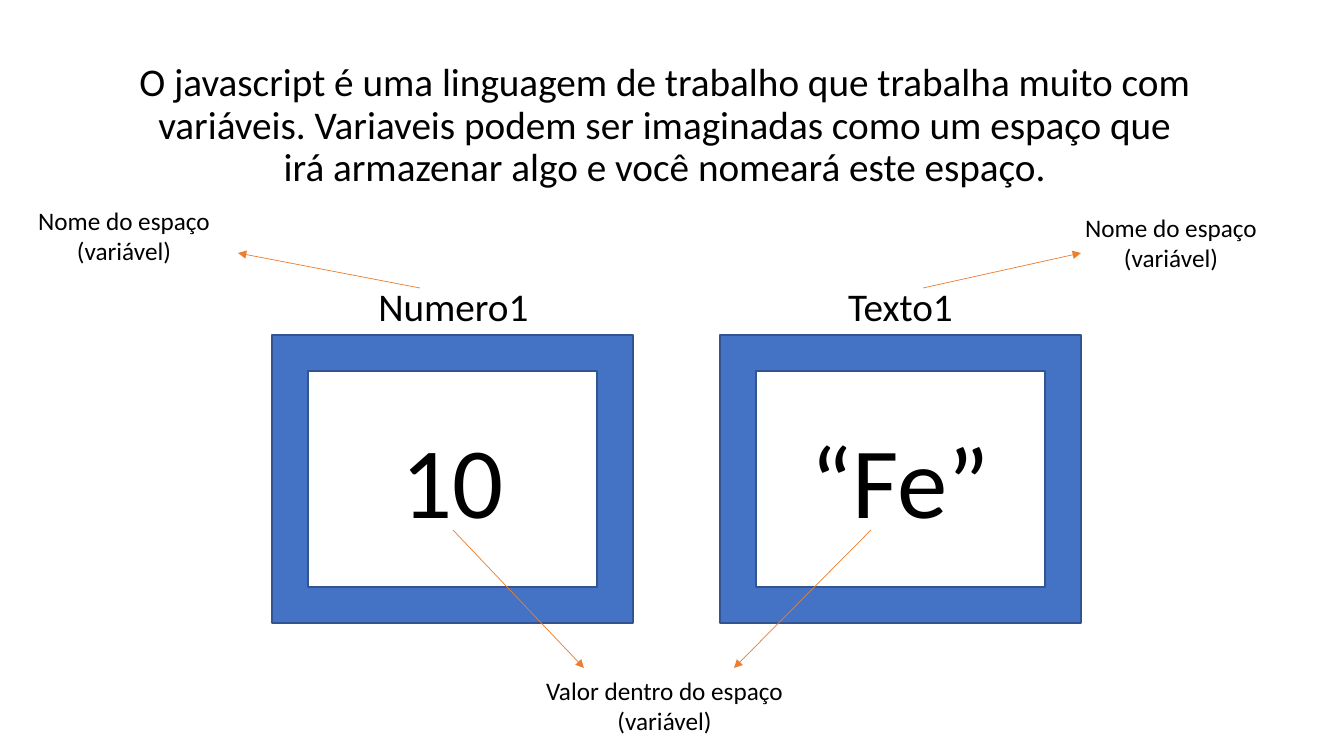
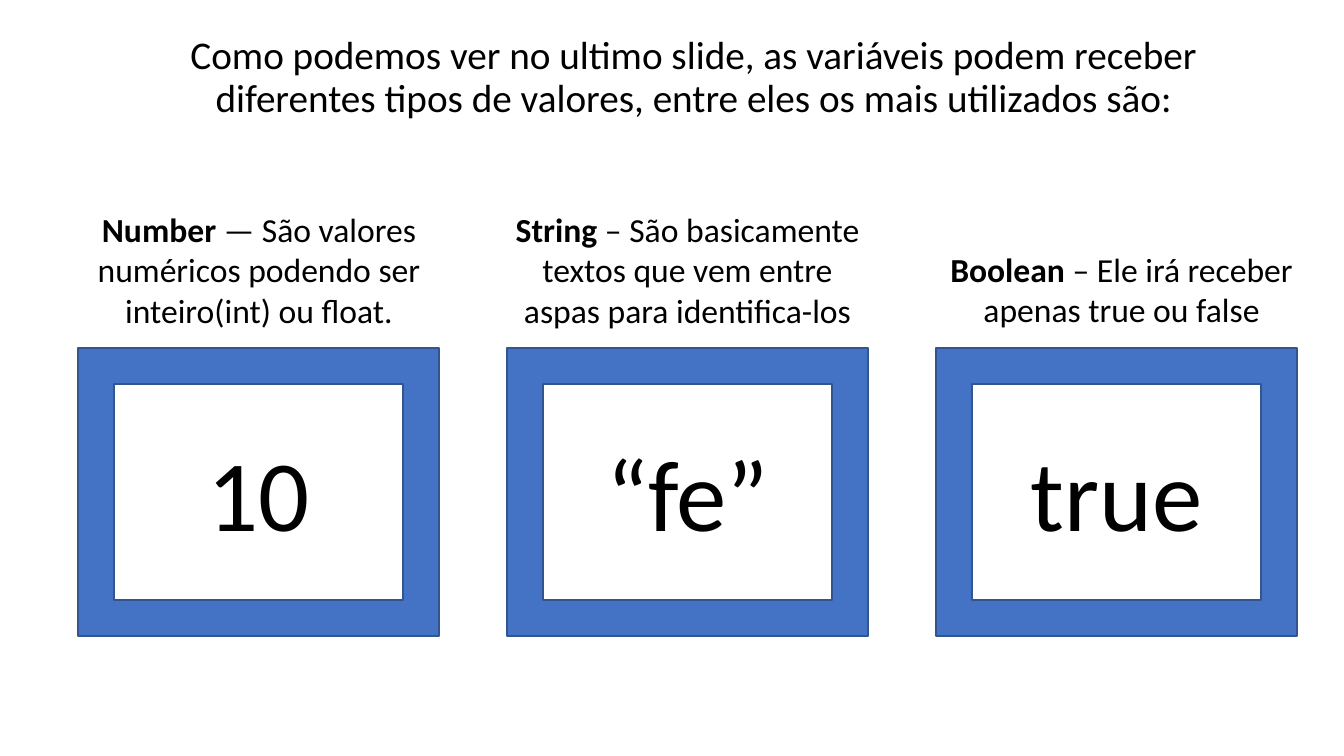
import pptx
import pptx.dml.color
import pptx.enum.shapes
import pptx.enum.text
import pptx.oxml.ns
import pptx.util
import lxml.etree

# Content: boxes are (left, top, width, height) in pixels
SLIDES = [
    {
        "intro": "O javascript é uma linguagem de trabalho que trabalha muito com "
                 "variáveis. Variaveis podem ser imaginadas como um espaço que irá "
                 "armazenar algo e você nomeará este espaço.",
        "intro_box": (124, 58, 1081, 172),
        "frames": {"left": 272, "step": 448, "top": 335},
        "values": ["10", "“Fe”"],
        "captions": [
            ("name", (340, 277, 227, 57), [("Numero1", False)]),
            ("name", (787, 277, 227, 57), [("Texto1", False)]),
            ("note", (20, 200, 208, 71), [("Nome do espaço (variável)", False)]),
            ("note", (1067, 207, 208, 71), [("Nome do espaço (variável)", False)]),
            ("note", (499, 670, 331, 71),
             [("Valor dentro do espaço (variável)", False)]),
        ],
        "arrows": [
            ((420, 288), (238, 253)),
            ((923, 288), (1081, 253)),
            ((453, 530), (584, 668)),
            ((871, 530), (734, 668)),
        ],
    },
    {
        "intro": "Como podemos ver no ultimo slide, as variáveis podem receber "
                 "diferentes tipos de valores, entre eles os mais utilizados são:",
        "intro_box": (140, 31, 1107, 145),
        "frames": {"left": 78, "step": 429, "top": 348},
        "values": ["10", "“fe”", "true"],
        "captions": [
            ("kind", (26, 204, 466, 132),
             [("Number", True),
              (" — São valores numéricos podendo ser inteiro(int) ou float.", False)]),
            ("kind", (501, 204, 373, 132),
             [("String", True),
              (" – São basicamente textos que vem entre aspas para identifica-los",
               False)]),
            ("kind", (935, 244, 373, 92),
             [("Boolean", True),
              (" – Ele irá receber apenas true ou false", False)]),
        ],
        "arrows": [],
    },
]

THEME = {
    "font": "Calibri",
    "text": "000000",
    "frame": "4472C4",
    "frame_line": "325491",
    "arrow": "ED7D31",
    "sizes": {"intro": 28, "name": 28, "value": 72, "note": 18, "kind": 24},
}
PAGE = (1344, 756)
FRAME = (361, 288)
VALUE = (261, 132)
EMU_PER_PX = 914400 / 100.8


def px(n):
    """Turn pixels into EMU."""
    return pptx.util.Emu(round(n * EMU_PER_PX))


def rgb(name):
    """Look up a theme colour."""
    return pptx.dml.color.RGBColor.from_string(THEME[name])


def assign(target, values):
    """Set each attribute named in a dict."""
    for name, value in values.items():
        setattr(target, name, value)


def place(sp, box):
    """Move and size a shape to a pixel box."""
    assign(sp, dict(zip(("left", "top", "width", "height"), map(px, box))))


def write(tf, role, runs):
    """Write one centred paragraph in the style of its role and return it."""
    p = tf.paragraphs[0]
    p.alignment = pptx.enum.text.PP_ALIGN.CENTER
    for text, bold in runs:
        r = p.add_run()
        r.text = text
        assign(r.font, {"name": THEME["font"], "bold": bold,
                        "size": pptx.util.Pt(THEME["sizes"][role])})
        r.font.color.rgb = rgb("text")
    return p


def add_intro(s, text, box):
    """Fill the body placeholder as an unbulleted introduction."""
    title = s.shapes.title
    title.element.getparent().remove(title.element)
    sp = s.placeholders[1]
    place(sp, box)
    tf = sp.text_frame
    assign(tf, {"auto_size": pptx.enum.text.MSO_AUTO_SIZE.NONE, "word_wrap": True})
    p = write(tf, "intro", [(text, False)])
    assign(p, {"line_spacing": 0.9, "space_before": pptx.util.Pt(10)})
    props = p._p.get_or_add_pPr()
    props.set("marL", "0")
    props.set("indent", "0")
    lxml.etree.SubElement(props, pptx.oxml.ns.qn("a:buNone"))


def add_text(s, role, box, runs):
    """Add a wrapped text box."""
    tf = s.shapes.add_textbox(*map(px, box)).text_frame
    assign(tf, {"word_wrap": True,
                "auto_size": pptx.enum.text.MSO_AUTO_SIZE.SHAPE_TO_FIT_TEXT})
    write(tf, role, runs)


def add_frame(s, left, top, value):
    """Add a frame with its value centred inside."""
    sp = s.shapes.add_shape(pptx.enum.shapes.MSO_SHAPE.FRAME,
                            *map(px, (left, top, *FRAME)))
    sp.shadow.inherit = False
    sp.fill.solid()
    sp.fill.fore_color.rgb = rgb("frame")
    sp.line.color.rgb = rgb("frame_line")
    sp.line.width = pptx.util.Pt(1)
    x, y = (start + (outer - inner) / 2
            for start, outer, inner in zip((left, top), FRAME, VALUE))
    add_text(s, "value", (x, y, *VALUE), [(value, False)])


def add_arrow(s, start, end):
    """Add a thin line with a triangle at its end."""
    line = s.shapes.add_connector(pptx.enum.shapes.MSO_CONNECTOR.STRAIGHT,
                                  *map(px, start + end))
    line.line.color.rgb = rgb("arrow")
    line.line.width = pptx.util.Pt(0.5)
    qn = pptx.oxml.ns.qn
    props = line.element.spPr
    lxml.etree.SubElement(props.find(qn("a:ln")), qn("a:tailEnd"), type="triangle")
    lxml.etree.SubElement(props, qn("a:effectLst"))


def build_slide(prs, content):
    """Build one slide from its content."""
    s = prs.slides.add_slide(prs.slide_layouts[1])
    add_intro(s, content["intro"], content["intro_box"])
    row = content["frames"]
    for i, value in enumerate(content["values"]):
        add_frame(s, row["left"] + i * row["step"], row["top"], value)
    for caption in content["captions"]:
        add_text(s, *caption)
    for arrow in content["arrows"]:
        add_arrow(s, *arrow)


prs = pptx.Presentation()
assign(prs, dict(zip(("slide_width", "slide_height"), map(px, PAGE))))
for content in SLIDES:
    build_slide(prs, content)
prs.save("out.pptx")
